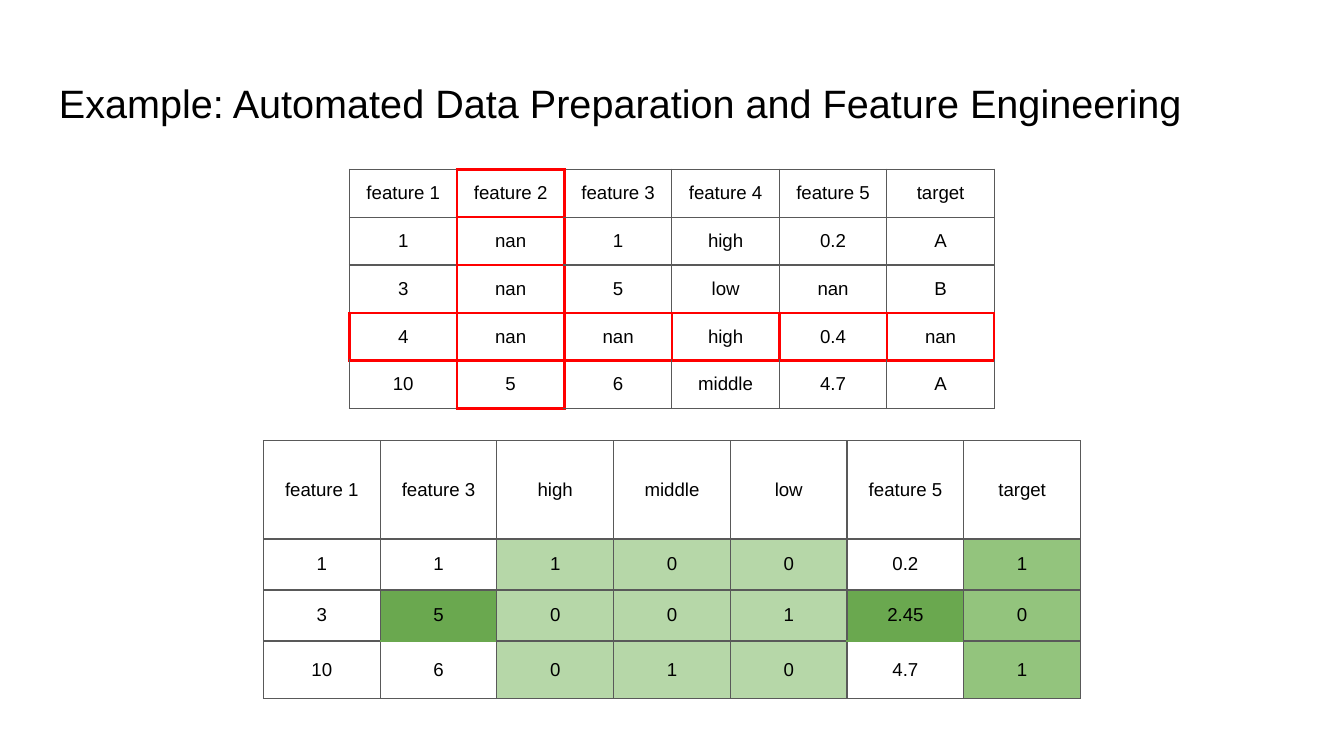
from lxml import etree
from pptx import Presentation
from pptx.dml.color import RGBColor
from pptx.enum.text import MSO_ANCHOR, PP_ALIGN
from pptx.oxml.ns import qn
from pptx.util import Inches, Pt

CENTER, LEFT = PP_ALIGN.CENTER, PP_ALIGN.LEFT
TOP, MIDDLE = MSO_ANCHOR.TOP, MSO_ANCHOR.MIDDLE

BLACK, WHITE, RED = "000000", "FFFFFF", "FF0000"
ENCODED, TARGET, IMPUTED = "B6D7A8", "93C47D", "6AA84F"
THIN = ("595959", 0.75)
REMOVED = (RED, 1.5)
FILLED_IN = (IMPUTED, 1.5)
NEIGHBOURS = {"L": (0, -1), "R": (0, 1), "T": (-1, 0), "B": (1, 0)}

RAW = [
    ["feature 1", "feature 2", "feature 3", "feature 4", "feature 5", "target"],
    ["1", "nan", "1", "high", "0.2", "A"],
    ["3", "nan", "5", "low", "nan", "B"],
    ["4", "nan", "nan", "high", "0.4", "nan"],
    ["10", "5", "6", "middle", "4.7", "A"],
]
PREPARED = [
    ["feature 1", "feature 3", "high", "middle", "low", "feature 5", "target"],
    ["1", "1", "1", "0", "0", "0.2", "1"],
    ["3", "5", "0", "0", "1", "2.45", "0"],
    ["10", "6", "0", "1", "0", "4.7", "1"],
]
IMPUTED_CELLS = {(2, 1), (2, 5)}


def rgb(color):
    return RGBColor.from_string(color)


def write(tf, text, size=10, color=BLACK, align=CENTER):
    tf.word_wrap = True
    p = tf.paragraphs[0]
    p.alignment = align
    r = p.add_run()
    r.text = text
    r.font.size = Pt(size)
    r.font.name = "Arial"
    r.font.color.rgb = rgb(color)


def set_border(cell, side, color, width):
    ln = etree.SubElement(cell._tc.get_or_add_tcPr(), qn(f"a:ln{side}"), w=str(Pt(width)))
    fill = etree.SubElement(ln, qn("a:solidFill"))
    etree.SubElement(fill, qn("a:srgbClr"), val=color)


def add_grid(s, left, top, width, row_heights, rows, border, fill):
    """border(row, col, side) gives (colour, width); fill(row, col) gives a colour."""
    n_cols = len(rows[0])
    table = s.shapes.add_table(len(rows), n_cols, Inches(left), Inches(top),
                               Inches(width), Inches(sum(row_heights))).table
    table.first_row = table.horz_banding = False
    for col in table.columns:
        col.width = Inches(width / n_cols)
    for i, (row, height) in enumerate(zip(rows, row_heights)):
        table.rows[i].height = Inches(height)
        for j, text in enumerate(row):
            cell = table.cell(i, j)
            cell.margin_left = cell.margin_right = Inches(0.1)
            cell.margin_top = cell.margin_bottom = Inches(0.09)
            cell.vertical_anchor = MIDDLE
            write(cell.text_frame, text)
            for side in NEIGHBOURS:
                set_border(cell, side, *border(i, j, side))
            cell.fill.solid()
            cell.fill.fore_color.rgb = rgb(fill(i, j))


def raw_border(i, j, side):
    """Red around every cell of the removed column and the removed row."""
    di, dj = NEIGHBOURS[side]
    removed = 1 in (j, j + dj) or 3 in (i, i + di)
    return REMOVED if removed else THIN


def raw_fill(i, j):
    return WHITE


def prepared_border(i, j, side):
    """Green along the lower edge of every imputed cell."""
    below = side == "B" and (i, j) in IMPUTED_CELLS
    above = side == "T" and (i - 1, j) in IMPUTED_CELLS
    return FILLED_IN if below or above else THIN


def prepared_fill(i, j):
    if i == 0:
        return WHITE
    if (i, j) in IMPUTED_CELLS:
        return IMPUTED
    return {2: ENCODED, 3: ENCODED, 4: ENCODED, 6: TARGET}.get(j, WHITE)


def add_title(s, left, top, width, height, text):
    tf = s.shapes.add_textbox(Inches(left), Inches(top), Inches(width), Inches(height)).text_frame
    tf.margin_left = tf.margin_right = Inches(0.1)
    tf.margin_top = tf.margin_bottom = Inches(0.1)
    tf.vertical_anchor = TOP
    write(tf, text, size=21.2, align=LEFT)


def main():
    prs = Presentation()
    prs.slide_width = Inches(10)
    prs.slide_height = Inches(10 * 9 / 16)
    s = prs.slides.add_slide(prs.slide_layouts[6])
    add_title(s, 0.34, 0.49, 9.32, 0.63,
              "Example: Automated Data Preparation and Feature Engineering")
    add_grid(s, 2.6, 1.26, 4.8, [1.78 / 5] * 5, RAW, raw_border, raw_fill)
    add_grid(s, 1.96, 3.28, 6.08, [0.73, 0.38, 0.38, 0.43], PREPARED,
             prepared_border, prepared_fill)
    prs.save("out.pptx")


if __name__ == "__main__":
    main()
